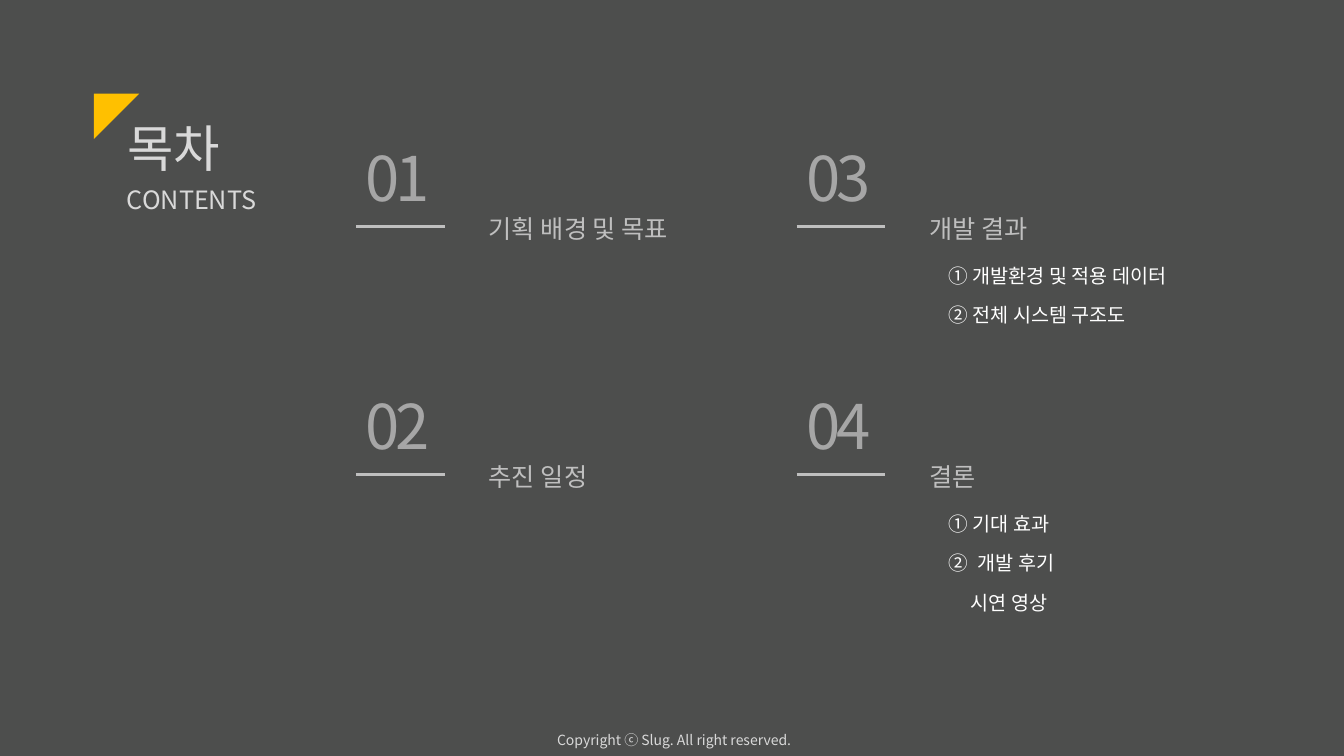
from lxml.etree import SubElement
from pptx import Presentation
from pptx.dml.color import RGBColor
from pptx.enum.shapes import MSO_CONNECTOR, MSO_SHAPE
from pptx.enum.text import MSO_ANCHOR, MSO_AUTO_SIZE, PP_ALIGN
from pptx.oxml.ns import qn
from pptx.util import Inches, Pt

# Content: number, heading, items as (text, left indent, hanging indent)
TITLE = "목차"
SUBTITLE = "CONTENTS"
SECTIONS = [
    ("01", "기획 배경 및 목표", []),
    ("02", "추진 일정", []),
    ("03", "개발 결과", [("① 개발환경 및 적용 데이터", 0, 0),
                     ("② 전체 시스템 구조도", 0, 0)]),
    ("04", "결론", [("① 기대 효과", 0, 0),
                  ("②\t개발 후기", 0.29, 0.29),
                  ("시연 영상", 0.22, 0)]),
]
COPYRIGHT = "Copyright ⓒ Slug. All right reserved."

# Colours and text formats
BACKGROUND = RGBColor(0x4D, 0x4E, 0x4D)
ACCENT = RGBColor(0xFF, 0xC0, 0x00)
PALE = RGBColor(0xD9, 0xD9, 0xD9)
SILVER = RGBColor(0xBF, 0xBF, 0xBF)
GREY = RGBColor(0xA6, 0xA6, 0xA6)
WHITE = RGBColor(0xFF, 0xFF, 0xFF)
FONT = "Noto Sans CJK KR"
FORMATS = {
    "title": {"size": Pt(36), "color": PALE},
    "subtitle": {"size": Pt(18), "color": PALE},
    "number": {"size": Pt(44), "color": GREY},
    "heading": {"size": Pt(18), "color": SILVER},
    "item": {"size": Pt(14), "color": WHITE},
    "copyright": {"size": Pt(10), "color": PALE},
}

# Grid in inches
WIDTH, HEIGHT = 13.33, 7.5
GRID_LEFT, COLUMN_PITCH = 3.53, 4.37
GRID_TOP, ROW_PITCH = 1.34, 2.46
ROWS = 2
RULE_DROP, RULE_LENGTH = 0.91, 0.88
HEADING_SHIFT, HEADING_DROP = 1.22, 0.73
ITEM_SHIFT, ITEM_DROP, ITEM_PITCH = 1.41, 1.23, 0.39
TITLE_LEFT, TITLE_WIDTH = 1.16, 1.79

deck = Presentation()
deck.slide_width, deck.slide_height = Inches(WIDTH), Inches(HEIGHT)
slide = deck.slides.add_slide(deck.slide_layouts[5])
slide.background.fill.solid()
slide.background.fill.fore_color.rgb = BACKGROUND


def write(holder, text, part, align=PP_ALIGN.LEFT):
    """Fill a text holder and format its only paragraph."""
    frame = holder.text_frame
    frame.text = text
    settings = {"word_wrap": True, "auto_size": MSO_AUTO_SIZE.NONE,
                "vertical_anchor": MSO_ANCHOR.TOP}
    for name, value in settings.items():
        setattr(frame, name, value)
    paragraph = frame.paragraphs[0]
    paragraph.alignment = align
    for run in paragraph.runs:
        run.font.name = FONT
        run.font.size = FORMATS[part]["size"]
        run.font.color.rgb = FORMATS[part]["color"]
        SubElement(run.font._element, qn("a:ea")).set("typeface", FONT)
    return paragraph


def add_text(text, part, left, top, width, height, align=PP_ALIGN.LEFT):
    box = slide.shapes.add_textbox(*map(Inches, (left, top, width, height)))
    return write(box, text, part, align)


# Title block with its corner mark
title = slide.shapes.title
title.left, title.top, title.width, title.height = map(
    Inches, (TITLE_LEFT, 1.11, TITLE_WIDTH, 0.71))
write(title, TITLE, "title")
add_text(SUBTITLE, "subtitle", TITLE_LEFT, 1.78, TITLE_WIDTH, 0.4)

corner = slide.shapes.add_shape(
    MSO_SHAPE.RIGHT_TRIANGLE, *map(Inches, (0.93, 0.93, 0.45, 0.45)))
corner.rotation = 90
corner.shadow.inherit = False
corner.fill.solid()
corner.fill.fore_color.rgb = ACCENT
corner.line.fill.background()

# Sections run down each column in turn
for index, (number, heading, items) in enumerate(SECTIONS):
    column, row = divmod(index, ROWS)
    left = GRID_LEFT + column * COLUMN_PITCH
    top = GRID_TOP + row * ROW_PITCH

    digits = add_text(number, "number", left, top, 0.88, 0.84)
    digits.runs[0].font._element.set("spc", "-300")

    rule_y = Inches(top + RULE_DROP)
    rule = slide.shapes.add_connector(
        MSO_CONNECTOR.STRAIGHT, Inches(left), rule_y,
        Inches(left + RULE_LENGTH), rule_y)
    rule.line.color.rgb = SILVER
    rule.line.width = Pt(2.25)
    SubElement(rule._element.spPr, qn("a:effectLst"))

    add_text(heading, "heading", left + HEADING_SHIFT,
             top + HEADING_DROP, 2.7, 0.4)

    for line, (text, indent, hanging) in enumerate(items):
        entry = add_text(text, "item", left + ITEM_SHIFT,
                         top + ITEM_DROP + line * ITEM_PITCH, 3.1, 0.34)
        properties = entry._p.get_or_add_pPr()
        properties.set("marL", str(Inches(indent)))
        properties.set("indent", str(-Inches(hanging)))

# Footer
add_text(COPYRIGHT, "copyright", 5.08, 7.21, 3.21, 0.27, PP_ALIGN.CENTER)

deck.save("out.pptx")
